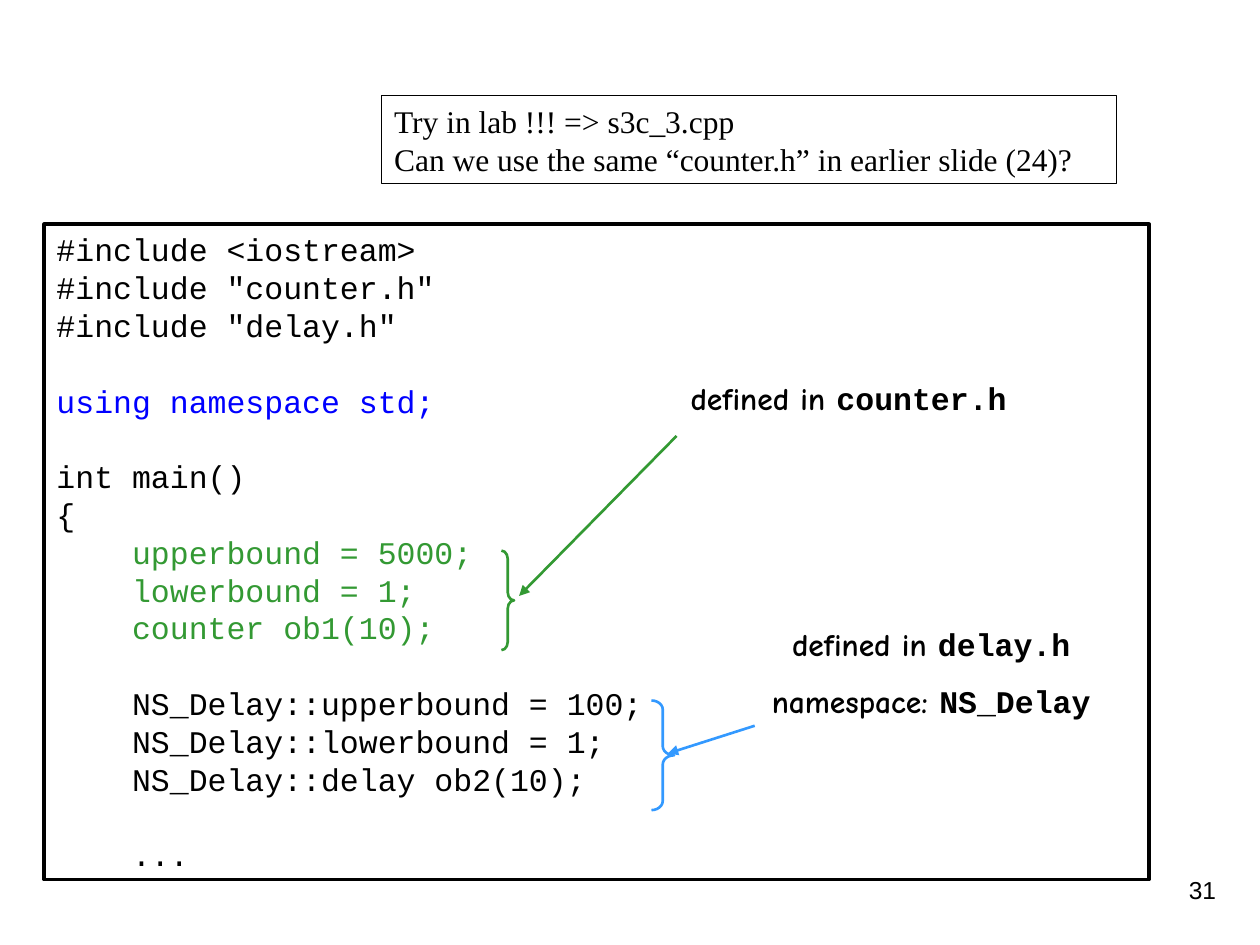
"""Build the slide that explains which header defines each name in a C++ program."""
from pptx import Presentation
from pptx.dml.color import RGBColor
from pptx.enum.shapes import MSO_CONNECTOR as Connector, MSO_SHAPE as Shape
from pptx.enum.text import MSO_ANCHOR as Anchor, PP_ALIGN as Align
from pptx.oxml.ns import qn
from pptx.util import Inches, Pt
from lxml.etree import SubElement

BLACK = RGBColor(0x00, 0x00, 0x00)
WHITE = RGBColor(0xFF, 0xFF, 0xFF)
BLUE = RGBColor(0x00, 0x00, 0xFF)
GREEN = RGBColor(0x33, 0x99, 0x33)
SKY = RGBColor(0x33, 0x99, 0xFF)
CODE, SERIF, SANS, NOTE = "Courier New", "Times New Roman", "Arial", "Comic Neue"
COLUMNS, ROWS = 100, 75
LINE = 21.6
INDENT = Inches(0.6)


class CodeSlide:
    """Hold the grid, the text style and the current slide."""

    def __init__(self, deck):
        self.slide = deck.slides.add_slide(deck.slide_layouts[6])
        self.shapes = self.slide.shapes
        self.column = deck.slide_width / COLUMNS
        self.row = deck.slide_height / ROWS

    def cells(self, *lengths):
        """Turn alternating columns and rows into slide lengths."""
        return [round(n * (self.row if i % 2 else self.column)) for i, n in enumerate(lengths)]

    def fill_text(self, frame, paragraphs, size=18, align=Align.LEFT):
        """Fill a frame with (runs, blank points before, indent) paragraphs."""
        frame.word_wrap = True
        for i, (runs, before, indent) in enumerate(paragraphs):
            paragraph = frame.paragraphs[0] if i == 0 else frame.add_paragraph()
            paragraph.alignment = align
            paragraph.line_spacing = Pt(LINE)
            paragraph.space_before = Pt(before)
            if indent:
                properties = paragraph._p.get_or_add_pPr()
                properties.set("marL", str(indent))
                properties.set("indent", "0")
            for words, font, color, bold in runs:
                run = paragraph.add_run()
                run.text = words
                run.font.name, run.font.size = font, Pt(size)
                run.font.bold = bold
                run.font.color.rgb = color

    def outline(self, shape, color, width):
        """Give a shape its line and no shadow."""
        shape.shadow.inherit = False
        shape.line.color.rgb = color
        shape.line.width = Pt(width)

    def panel(self, area, paragraphs, width, fill=None):
        """Draw a framed rectangle with text at the top."""
        panel = self.shapes.add_shape(Shape.RECTANGLE, *self.cells(*area))
        self.outline(panel, BLACK, width)
        if fill is None:
            panel.fill.background()
        else:
            panel.fill.solid()
            panel.fill.fore_color.rgb = fill
        panel.text_frame.vertical_anchor = Anchor.TOP
        self.fill_text(panel.text_frame, paragraphs)

    def label(self, area, paragraphs, size=18, align=Align.CENTER, anchor=Anchor.MIDDLE):
        """Place text without a frame."""
        frame = self.shapes.add_textbox(*self.cells(*area)).text_frame
        frame.vertical_anchor = anchor
        self.fill_text(frame, paragraphs, size, align)

    def brace(self, area, color, curve):
        """Draw a right brace around a group of code lines."""
        brace = self.shapes.add_shape(Shape.RIGHT_BRACE, *self.cells(*area))
        brace.adjustments[0] = curve
        brace.fill.background()
        self.outline(brace, color, 1.5)

    def arrow(self, ends, color):
        """Draw a straight arrow from a label to its brace."""
        arrow = self.shapes.add_connector(Connector.STRAIGHT, *self.cells(*ends))
        arrow.line.color.rgb = color
        arrow.line.width = Pt(1.5)
        SubElement(arrow.line._get_or_add_ln(), qn("a:tailEnd"), type="triangle")
        SubElement(arrow._element.spPr, qn("a:effectLst"))


def plain(words, font, color=BLACK, before=0, indent=0):
    """Describe a paragraph of one run."""
    return [(words, font, color, False)], before, indent


def definition(lead, name, before=0):
    """Describe a label line that ends with a name in code type."""
    return [(lead, NOTE, BLACK, True), (name, CODE, BLACK, True)], before, 0


PROGRAM = [
    (BLACK, 0, ["#include <iostream>", '#include "counter.h"', '#include "delay.h"']),
    (BLUE, 0, ["using namespace std;"]),
    (BLACK, 0, ["int main()", "{"]),
    (GREEN, INDENT, ["upperbound = 5000;", "lowerbound = 1;", "counter ob1(10);"]),
    (BLACK, INDENT, ["NS_Delay::upperbound = 100;", "NS_Delay::lowerbound = 1;",
                     "NS_Delay::delay ob2(10);"]),
    (BLACK, INDENT, ["..."]),
]
AFTER_BLANK = {"using namespace std;", "int main()", "NS_Delay::upperbound = 100;", "..."}

deck = Presentation()
deck.slide_width, deck.slide_height = Inches(10), Inches(7.5)
page = CodeSlide(deck)

page.label((76.7, 68.3, 20.8, 5), [plain("31", SANS)], 14, Align.RIGHT, Anchor.TOP)
page.panel((3.5, 17.8, 87.7, 52), [
    plain(words, CODE, color, LINE if words in AFTER_BLANK else 0, indent)
    for color, indent, block in PROGRAM for words in block
], 2)

page.label((51.7, 27.9, 31.3, 7.3), [definition("defined in ", "counter.h")])
page.brace((39.8, 43.7, 1, 7.9), GREEN, 0.65)
page.arrow((53.7, 34.6, 41.2, 47.3), GREEN)

page.label((58, 47.6, 31.8, 11.5), [
    definition("defined in ", "delay.h"),
    definition("namespace: ", "NS_Delay", 11.2),
])
page.brace((51.7, 55.6, 1.8, 8.7), SKY, 0.4)
page.arrow((59.9, 57.6, 53, 59.8), SKY)

page.panel((30.3, 7.6, 58.3, 7), [
    plain("Try in lab !!! => s3c_3.cpp", SERIF),
    plain("Can we use the same “counter.h” in earlier slide (24)?", SERIF),
], 0.75, WHITE)

deck.save("out.pptx")
